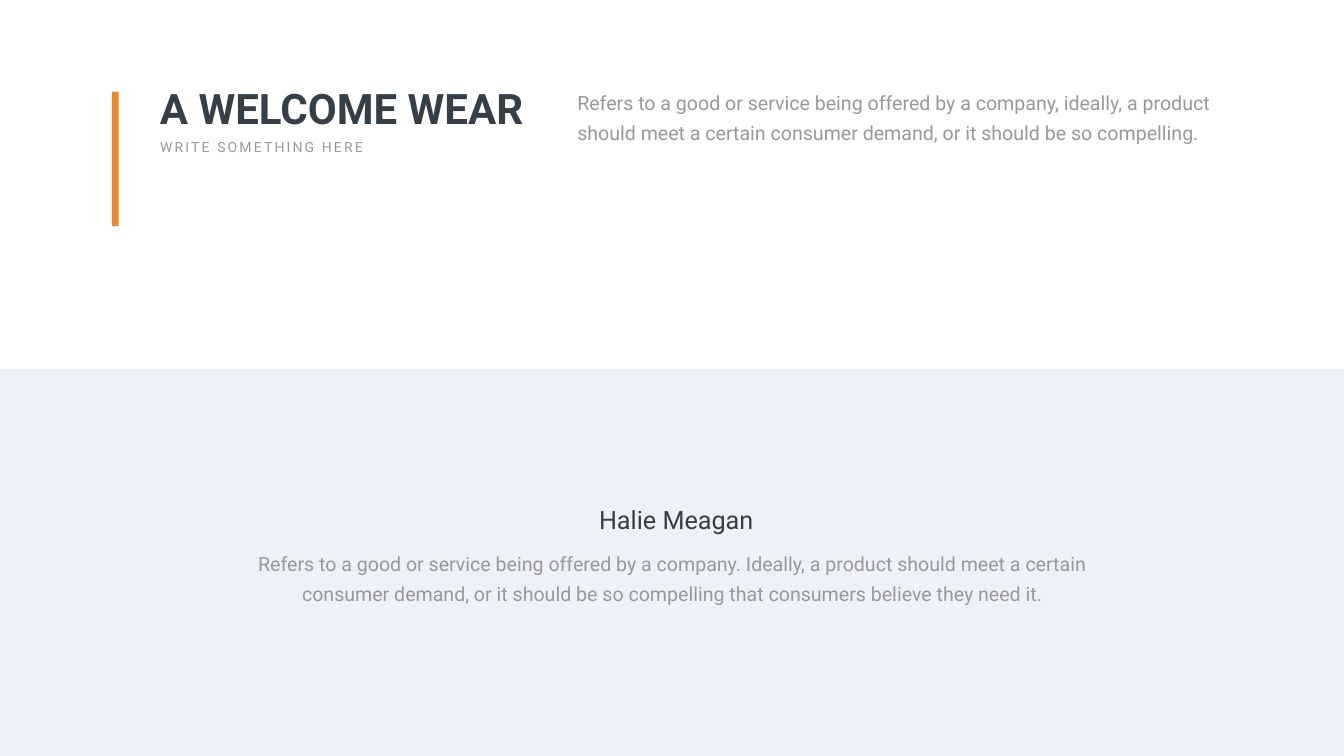
from pptx import Presentation
from pptx import util as u
from pptx.dml.color import RGBColor
from pptx.enum import shapes, text

COLORS = {
    "background": "FFFFFF",
    "band": "EFF1F8",
    "accent": "EA8831",
    "heading": "363E48",
    "body": "999999",
}
WIDTH, HEIGHT = u.Inches(26.66), u.Inches(15)
TITLE_ONLY = 5


class SlideBuilder:
    """Style and current slide; boxes are (left, top, width, height) in percent."""

    font = "Roboto"
    body_size = 28
    body_leading = 43
    body_insets = (0.24, 0.12)

    def __init__(self, slide):
        self.slide = slide
        fill = slide.background.fill
        fill.solid()
        fill.fore_color.rgb = self.color("background")

    def color(self, name):
        return RGBColor.from_string(COLORS[name])

    def place(self, box):
        sides = (WIDTH, HEIGHT, WIDTH, HEIGHT)
        return [round(share * side / 100) for share, side in zip(box, sides)]

    def rectangle(self, box, color):
        shape = self.slide.shapes.add_shape(
            shapes.MSO_SHAPE.RECTANGLE, *self.place(box))
        shape.shadow.inherit = False
        shape.fill.solid()
        shape.fill.fore_color.rgb = self.color(color)
        shape.line.fill.background()

    def set_words(self, shape, words, size, color, align="LEFT", bold=False):
        frame = shape.text_frame
        frame.text = words
        frame.word_wrap = True
        frame.auto_size = text.MSO_AUTO_SIZE.SHAPE_TO_FIT_TEXT
        frame.vertical_anchor = text.MSO_ANCHOR.TOP
        paragraph = frame.paragraphs[0]
        paragraph.alignment = text.PP_ALIGN[align]
        font = paragraph.runs[0].font
        font.name, font.size, font.bold = self.font, u.Pt(size), bold
        font.color.rgb = self.color(color)

    def title(self, box, words):
        shape = self.slide.shapes.title
        shape.left, shape.top, shape.width, shape.height = self.place(box)
        self.set_words(shape, words, 60, "heading", bold=True)

    def label(self, box, words, size, color, align="LEFT"):
        shape = self.slide.shapes.add_textbox(*self.place(box))
        self.set_words(shape, words, size, color, align)
        return shape

    def subtitle(self, box, words):
        shape = self.label(box, words, 20, "body")
        shape.text_frame.word_wrap = False
        run = shape.text_frame.paragraphs[0].runs[0]
        # Letter spacing, in hundredths of a point
        run._r.get_or_add_rPr().set("spc", "300")

    def body(self, box, words, align="LEFT"):
        shape = self.label(box, words, self.body_size, "body", align)
        frame = shape.text_frame
        side, edge = map(u.Inches, self.body_insets)
        frame.margin_left = frame.margin_right = side
        frame.margin_top = frame.margin_bottom = edge
        frame.paragraphs[0].line_spacing = u.Pt(self.body_leading)


def main():
    presentation = Presentation()
    presentation.slide_width, presentation.slide_height = WIDTH, HEIGHT
    layout = presentation.slide_layouts[TITLE_ONLY]
    builder = SlideBuilder(presentation.slides.add_slide(layout))

    builder.rectangle((0, 48.8, 100, 51.2), "band")
    builder.title((11.52, 10.6, 31.28, 7.4), "A WELCOME WEAR")
    builder.subtitle((11.55, 18, 16.32, 2.93), "WRITE SOMETHING HERE")
    builder.rectangle((8.33, 12.13, 0.49, 17.8), "accent")
    builder.body(
        (42.05, 10.4, 49.62, 9.27),
        "Refers to a good or service being offered by a company, ideally, "
        "a product should meet a certain consumer demand, or it should be "
        "so compelling.")
    builder.body(
        (17.89, 71.33, 64.22, 9.27),
        "Refers to a good or service being offered by a company. Ideally, "
        "a product should meet a certain consumer demand, or it should be "
        "so compelling that consumers believe they need it.",
        align="CENTER")
    builder.label((39.68, 66.33, 21.27, 4.73), "Halie Meagan", 36, "heading", "CENTER")

    presentation.save("out.pptx")


if __name__ == "__main__":
    main()
